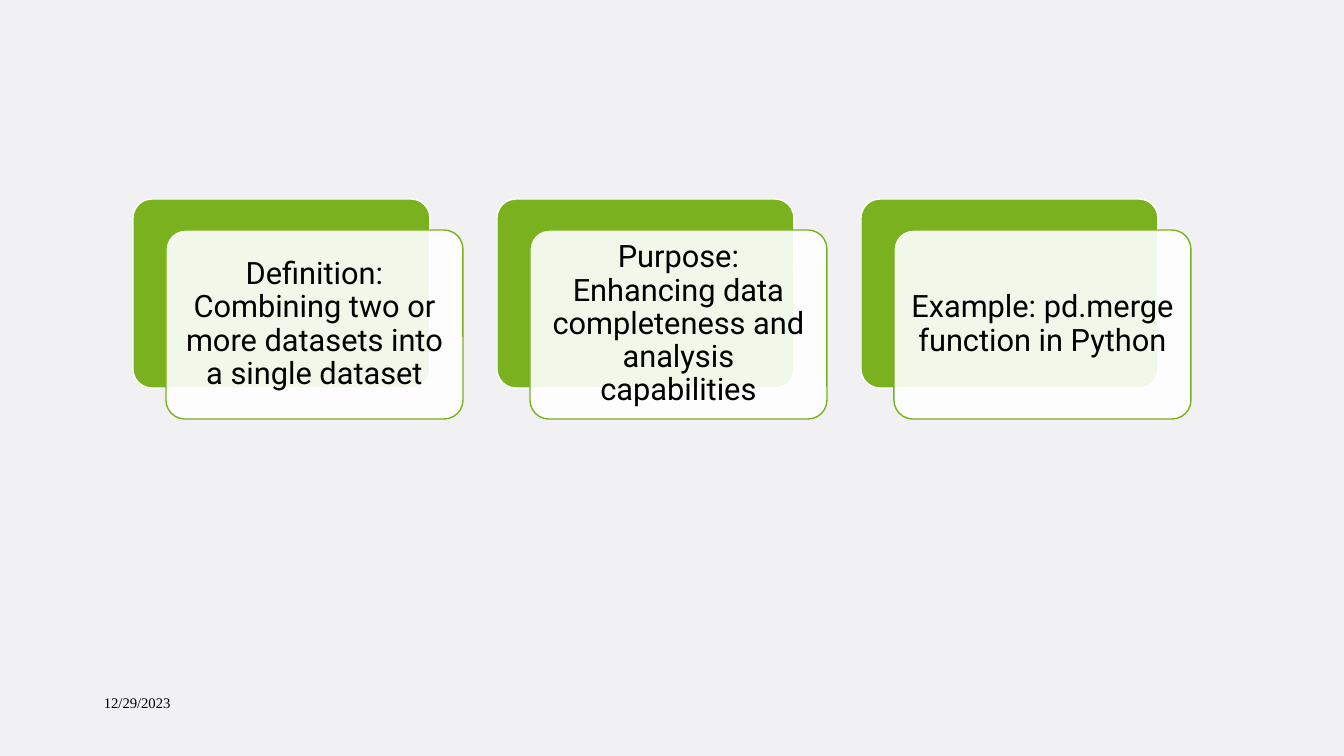
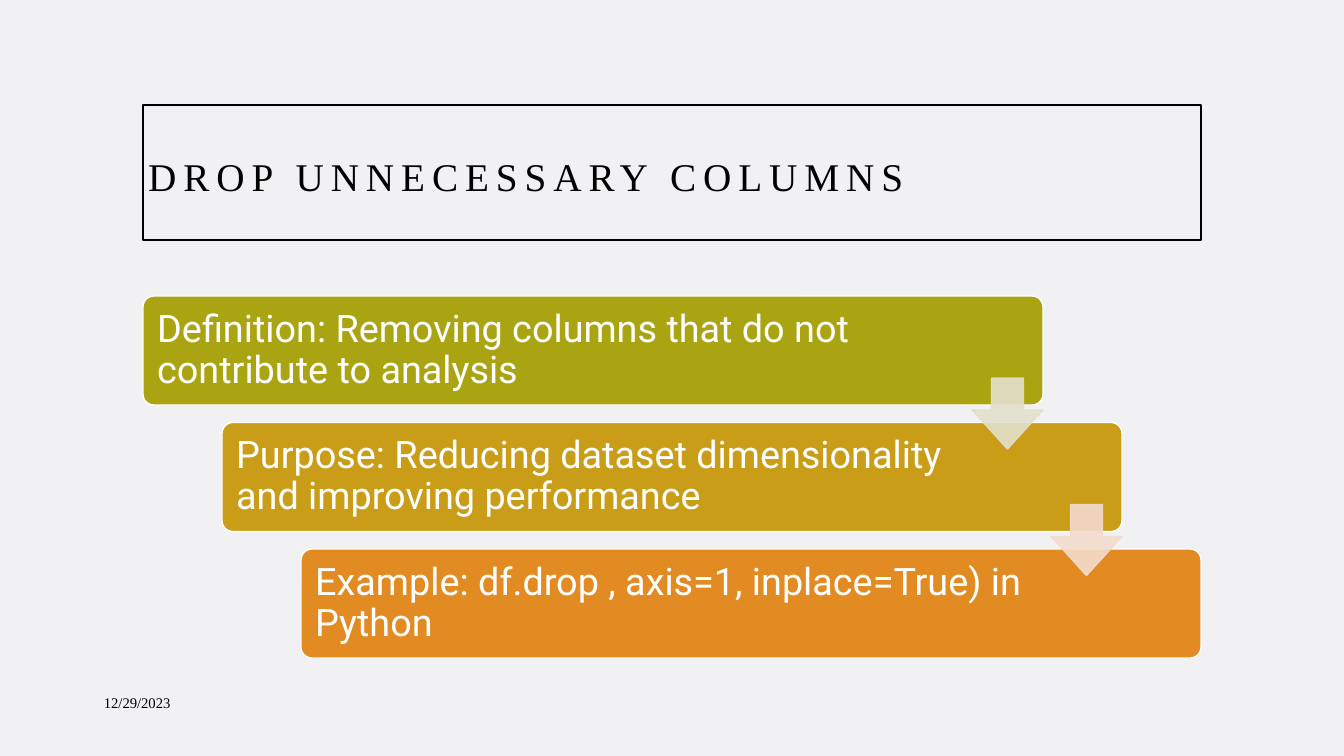
from dataclasses import dataclass

from lxml.etree import SubElement
from pptx import Presentation
from pptx.dml.color import RGBColor
from pptx.enum.shapes import MSO_SHAPE
from pptx.enum.text import MSO_ANCHOR, MSO_AUTO_SIZE, PP_ALIGN
from pptx.oxml.ns import qn
from pptx.util import Emu, Pt

DATE = "12/29/2023"
CARDS = [
    "Definition: Combining two or more datasets into a single dataset",
    "Purpose: Enhancing data completeness and analysis capabilities",
    "Example: pd.merge function in Python",
]
DROP_TITLE = "DROP UNNECESSARY COLUMNS"
STEPS = [
    ("Definition: Removing columns that do not contribute to analysis", "AAA412"),
    ("Purpose: Reducing dataset dimensionality and improving performance", "C99D18"),
    ("Example: df.drop , axis=1, inplace=True) in Python", "E28B23"),
]
ARROW_COLORS = ["E2E0CC", "F4DBCD"]


@dataclass(frozen=True)
class Theme:
    background: str = "F1F0F3"
    ink: str = "000000"
    paper: str = "FFFFFF"
    green: str = "7AB11F"
    serif: str = "Times New Roman"
    sans: str = "Roboto"
    title_size: float = 28
    step_size: float = 27
    card_size: float = 22
    date_size: float = 10.5
    title_tracking: int = 500
    opacity: int = 90
    corner: float = 0.1


THEME = Theme()
SLIDE_SIZE = (1344, 756)
EMU_PER_INCH = 914400
PX_PER_INCH = 100.8


def px(length):
    return Emu(round(length * EMU_PER_INCH / PX_PER_INCH))


def place(shape, box):
    shape.left, shape.top, shape.width, shape.height = map(px, box)


def set_opacity(color_format_fill, percent):
    color = next(color_format_fill.iter(qn("a:srgbClr")))
    SubElement(color, qn("a:alpha")).set("val", str(percent * 1000))


def add_box(slide, kind, box, fill, line, adjustments=(), fill_opacity=100, line_opacity=100):
    shape = slide.shapes.add_shape(kind, *map(px, box))
    shape.shadow.inherit = False
    for index, value in enumerate(adjustments):
        shape.adjustments[index] = value
    if fill is None:
        shape.fill.background()
    else:
        shape.fill.solid()
        shape.fill.fore_color.rgb = RGBColor.from_string(fill)
    shape.line.color.rgb = RGBColor.from_string(line)
    shape.line.width = Pt(1)
    properties = shape.element.spPr
    if fill_opacity < 100:
        set_opacity(properties.find(qn("a:solidFill")), fill_opacity)
    if line_opacity < 100:
        set_opacity(properties.find(qn("a:ln")), line_opacity)
    return shape


def write(shape, text, font, size, color, align=PP_ALIGN.LEFT, spacing=None, insets=None):
    frame = shape.text_frame
    frame.word_wrap = True
    frame.auto_size = MSO_AUTO_SIZE.NONE
    frame.vertical_anchor = MSO_ANCHOR.MIDDLE
    if insets:
        frame.margin_left, frame.margin_top, frame.margin_right, frame.margin_bottom = map(px, insets)
    paragraph = frame.paragraphs[0]
    paragraph.alignment = align
    if spacing:
        paragraph.line_spacing = spacing
    run = paragraph.add_run()
    run.text = text
    run.font.name = font
    run.font.size = Pt(size)
    run.font.color.rgb = RGBColor.from_string(color)
    return run


def add_slide(presentation, layout_name):
    slide = presentation.slides.add_slide(presentation.slide_layouts.get_by_name(layout_name))
    date = slide.shapes.add_textbox(*map(px, (94, 683, 302, 40)))
    write(date, DATE, THEME.serif, THEME.date_size, THEME.ink)
    date.text_frame.paragraphs[0].space_after = Pt(6)
    return slide


def add_title(slide, text):
    add_box(slide, MSO_SHAPE.RECTANGLE, (143, 105, 1058, 135), None, THEME.ink)
    title = slide.shapes.title
    place(title, (138, 134, 1024, 75))
    run = write(title, text, THEME.serif, THEME.title_size, THEME.ink, spacing=1.2)
    run.font.element.set("spc", str(THEME.title_tracking)) if hasattr(run.font, "element") else \
        run._r.get_or_add_rPr().set("spc", str(THEME.title_tracking))


def build_cards(presentation):
    slide = add_slide(presentation, "Blank")
    left, top, width, height, pitch = 133, 199, 297, 189, 364
    shift_x, shift_y, inset = 33, 31, 9
    for index, text in enumerate(CARDS):
        x = left + index * pitch
        add_box(slide, MSO_SHAPE.ROUNDED_RECTANGLE, (x, top, width, height),
                THEME.green, THEME.paper, [THEME.corner])
        front = add_box(slide, MSO_SHAPE.ROUNDED_RECTANGLE,
                        (x + shift_x, top + shift_y, width, height),
                        THEME.paper, THEME.green, [THEME.corner], THEME.opacity)
        write(front, text, THEME.sans, THEME.card_size, THEME.ink,
              PP_ALIGN.CENTER, 0.9, [inset] * 4)


def build_steps(presentation):
    slide = add_slide(presentation, "Title Only")
    add_title(slide, DROP_TITLE)
    left, top, width, height = 143, 296, 900, 109
    step_x, step_y = 79, 126.5
    arrow_left, arrow_top, arrow_size = 972, 378, 71
    for index, (text, color) in enumerate(STEPS):
        bar = add_box(slide, MSO_SHAPE.ROUNDED_RECTANGLE,
                      (left + index * step_x, top + index * step_y, width, height),
                      color, THEME.paper, [THEME.corner])
        write(bar, text, THEME.sans, THEME.step_size, THEME.paper,
              spacing=0.9, insets=(11, 11, 160, 11))
    for index, color in enumerate(ARROW_COLORS):
        add_box(slide, MSO_SHAPE.DOWN_ARROW,
                (arrow_left + index * step_x, arrow_top + index * step_y, arrow_size, arrow_size),
                color, color, [0.45, 0.55], THEME.opacity, THEME.opacity)


def main():
    presentation = Presentation()
    presentation.slide_width, presentation.slide_height = map(px, SLIDE_SIZE)
    background = presentation.slide_master.background.fill
    background.solid()
    background.fore_color.rgb = RGBColor.from_string(THEME.background)
    build_cards(presentation)
    build_steps(presentation)
    presentation.save("out.pptx")


if __name__ == "__main__":
    main()
